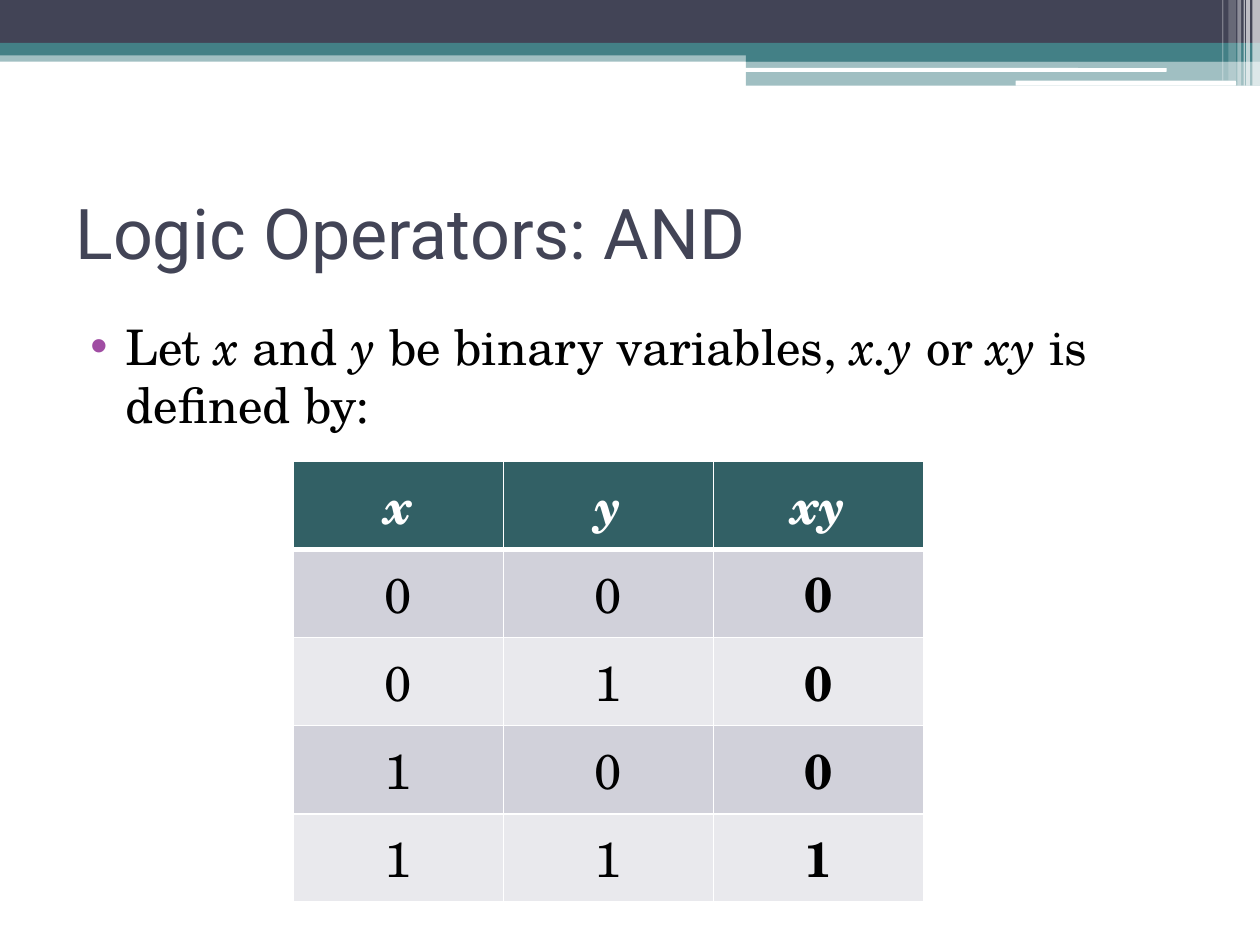
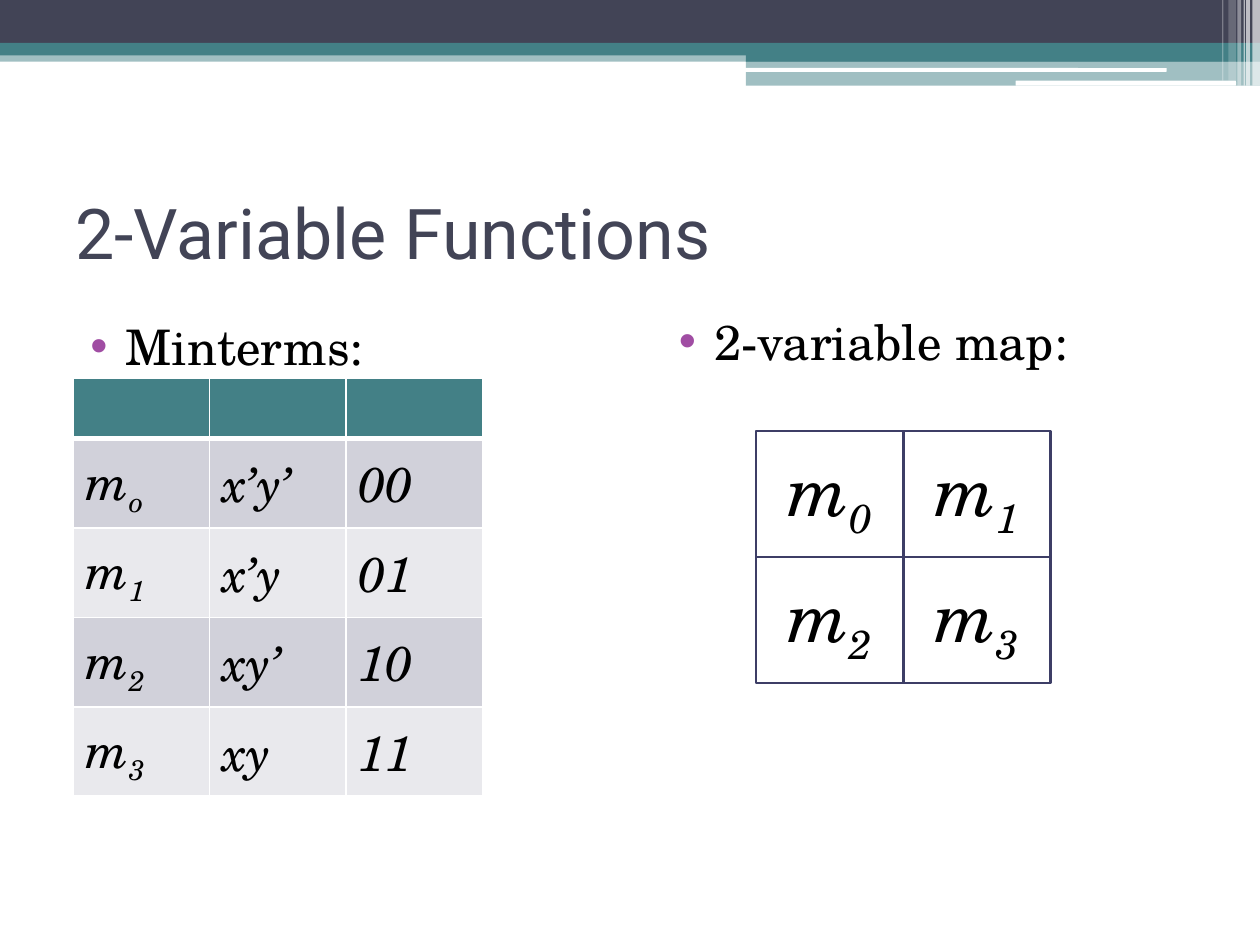
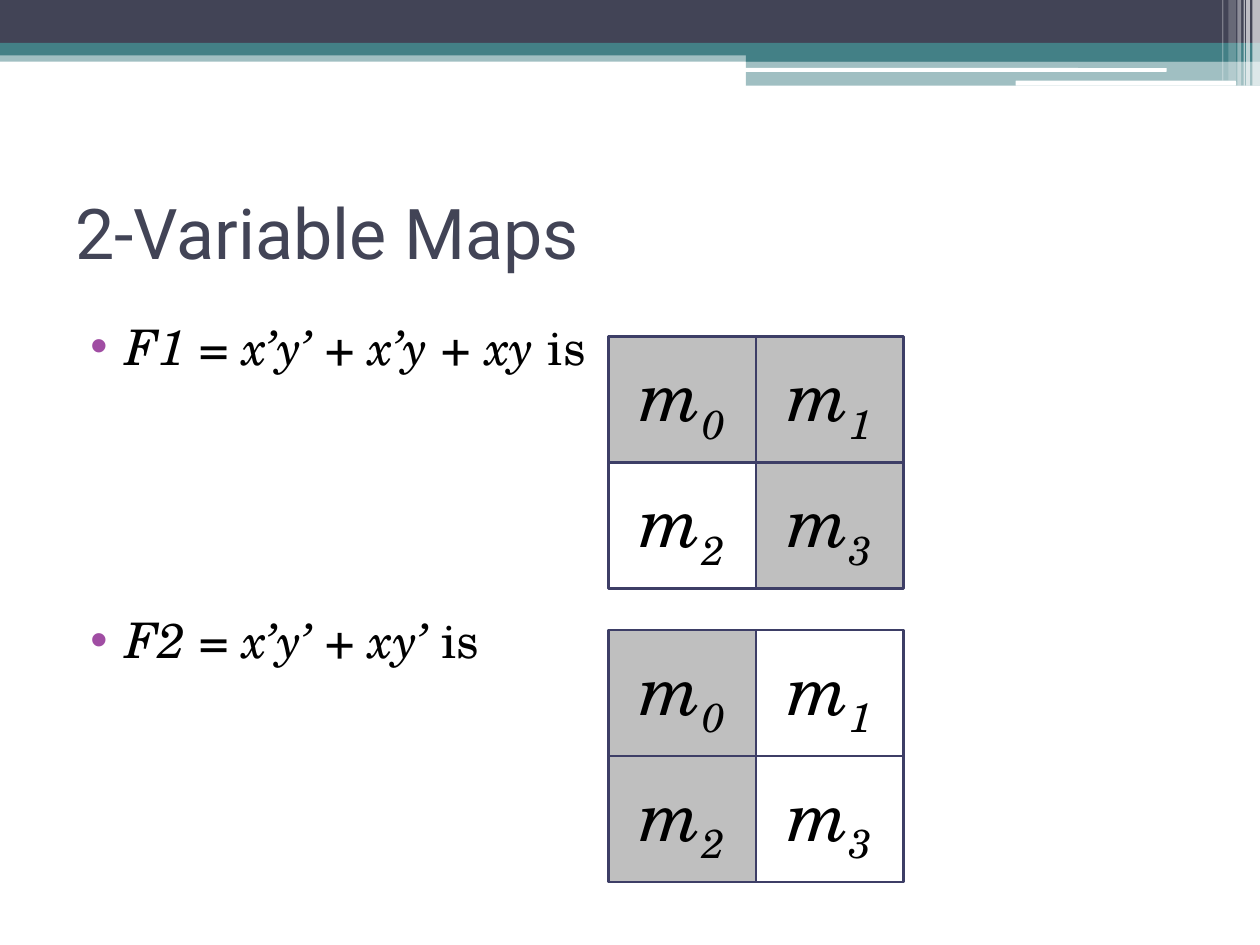
"""Builds three slides on logic operators and two-variable maps."""
from dataclasses import dataclass

import pptx
import pptx.dml.color
import pptx.enum.shapes
import pptx.enum.text
import pptx.oxml
import pptx.oxml.ns
import pptx.util

Inches = pptx.util.Inches
Pt = pptx.util.Pt
SHAPE = pptx.enum.shapes.MSO_SHAPE
ALIGN = pptx.enum.text.PP_ALIGN
ANCHOR = pptx.enum.text.MSO_ANCHOR


@dataclass(frozen=True)
class Theme:
    """Colours, fonts and type sizes shared by all slides."""
    navy: str = "424456"
    teal: str = "438086"
    dark_teal: str = "326065"
    white: str = "FFFFFF"
    black: str = "000000"
    bullet: str = "A04DA3"
    outline: str = "3D3E66"
    shade: str = "BFBFBF"
    row_bands: tuple = ("D1D1DA", "E9E9ED")
    title_font: str = "Roboto"
    body_font: str = "TeX Gyre Schola"
    title_size: int = 40
    body_size: int = 28
    map_size: int = 40


THEME = Theme()
ITALIC = {"italic": True}
SUBSCRIPT = {"italic": True, "baseline": -25}

# left, top, width, height, colour, opacity in percent
BANDS = [
    (0, 0.4, 10, 0.09, THEME.teal, 50),
    (0, 0, 10, 0.34, THEME.navy, 100),
    (0, 0.34, 10, 0.1, THEME.teal, 100),
    (5.92, 0.39, 4.08, 0.1, THEME.teal, 100),
    (5.92, 0.48, 4.08, 0.2, THEME.teal, 50),
]
WHITE_BARS = [(5.91, 0.54, 3.35, 0.03), (8.06, 0.64, 1.75, 0.04)]
# left, width, height, opacity in percent
STRIPES = [
    (9.94, 0.06, 0.68, 65), (9.89, 0.03, 0.68, 65), (9.87, 0.01, 0.68, 60),
    (9.82, 0.03, 0.68, 40), (9.75, 0.06, 0.64, 20), (9.7, 0.01, 0.64, 30),
]


def rgb(colour):
    """Turn a hex string into a colour."""
    return pptx.dml.color.RGBColor.from_string(colour)


def add_xml(parent, tag, **attributes):
    """Append a drawing element with attributes and return it."""
    element = pptx.oxml.parse_xml(f"<a:{tag} {pptx.oxml.ns.nsdecls('a')}/>")
    for name, value in attributes.items():
        element.set(name, str(value))
    parent.append(element)
    return element


def write_text(frame, runs, size=THEME.body_size, font=THEME.body_font,
               colour=THEME.black, bold=False, align=ALIGN.LEFT, bullet=False):
    """Write one paragraph from strings or (string, format) pairs."""
    paragraph = frame.paragraphs[0]
    paragraph.alignment = align
    if bullet:
        paragraph.space_before = Pt(3)
        properties = paragraph._p.get_or_add_pPr()
        properties.set("marL", str(Inches(0.4)))
        properties.set("indent", str(Inches(-0.28)))
        add_xml(add_xml(properties, "buClr"), "srgbClr", val=THEME.bullet)
        add_xml(properties, "buFont", typeface="Arial")
        add_xml(properties, "buChar", char="\u2022")
    for item in runs:
        text, style = (item, {}) if isinstance(item, str) else item
        run = paragraph.add_run()
        run.text = text
        run.font.size = Pt(size)
        run.font.name = font
        run.font.bold = bold
        run.font.italic = style.get("italic", False)
        run.font.color.rgb = rgb(colour)
        if "baseline" in style:
            run.font._element.set("baseline", str(style["baseline"] * 1000))


def add_text(slide, box, runs, anchor=ANCHOR.TOP, **text_format):
    """Add a wrapping text box at box = (left, top, width, height)."""
    frame = slide.shapes.add_textbox(*map(Inches, box)).text_frame
    frame.word_wrap = True
    frame.vertical_anchor = anchor
    write_text(frame, runs, **text_format)


def add_block(slide, box, fill=None, opacity=100, line=None, preset=SHAPE.RECTANGLE):
    """Add a flat shape with optional fill, opacity and outline."""
    shape = slide.shapes.add_shape(preset, *map(Inches, box))
    shape.shadow.inherit = False
    if fill:
        shape.fill.solid()
        shape.fill.fore_color.rgb = rgb(fill)
        if opacity < 100:
            colour = shape.fill._xPr.find(".//" + pptx.oxml.ns.qn("a:srgbClr"))
            add_xml(colour, "alpha", val=opacity * 1000)
    else:
        shape.fill.background()
    if line:
        shape.line.color.rgb = rgb(line)
        shape.line.width = Pt(1.5)
    else:
        shape.line.fill.background()
    return shape


def add_header(slide):
    """Draw the bands, bars and stripes along the top edge."""
    for *box, colour, opacity in BANDS:
        add_block(slide, box, colour, opacity)
    for box in WHITE_BARS:
        add_block(slide, box, THEME.white, preset=SHAPE.ROUNDED_RECTANGLE)
    for left, width, height, opacity in STRIPES:
        add_block(slide, (left, 0, width, height), THEME.white, opacity)


def new_slide(presentation, title):
    """Add a blank slide with the shared header and a title."""
    slide = presentation.slides.add_slide(presentation.slide_layouts[6])
    add_header(slide)
    add_text(slide, (0.5, 1.25, 9, 1.17), [title], anchor=ANCHOR.MIDDLE,
             size=THEME.title_size, font=THEME.title_font, colour=THEME.navy)
    return slide


def style_cell(cell, fill, bottom_width):
    """Fill a cell and give it white borders."""
    cell.vertical_anchor = ANCHOR.MIDDLE
    properties = cell._tc.get_or_add_tcPr()
    for side, width in (("lnL", 1), ("lnR", 1), ("lnT", 1), ("lnB", bottom_width)):
        border = add_xml(properties, side, w=Pt(width))
        add_xml(add_xml(border, "solidFill"), "srgbClr", val=THEME.white)
    cell.fill.solid()
    cell.fill.fore_color.rgb = rgb(fill)


def add_banded_table(slide, box, rows, header_height, header_fill,
                     align=ALIGN.LEFT, bold_last=False):
    """Add a table with a header row and banded rows of runs."""
    left, top, width, height = box
    columns = len(rows[0])
    table = slide.shapes.add_table(len(rows), columns, *map(Inches, box)).table
    for column in table.columns:
        column.width = Inches(width / columns)
    row_height = (height - header_height) / (len(rows) - 1)
    for i, row in enumerate(rows):
        header = i == 0
        table.rows[i].height = Inches(header_height if header else row_height)
        for j, runs in enumerate(row):
            cell = table.cell(i, j)
            fill = header_fill if header else THEME.row_bands[(i - 1) % 2]
            style_cell(cell, fill, 3 if header else 1)
            write_text(cell.text_frame, runs, align=align,
                       colour=THEME.white if header else THEME.black,
                       bold=header or (bold_last and j == columns - 1))


def minterm(index):
    """Return the runs of a minterm symbol with its subscript."""
    return [("m", ITALIC), (str(index), SUBSCRIPT)]


def add_map(slide, box, shaded=()):
    """Draw a two by two map and shade the chosen minterms."""
    left, top, width, height = box
    cell_width, cell_height = width / 2, height / 2
    for index in range(4):
        row, column = divmod(index, 2)
        cell_box = (left + column * cell_width, top + row * cell_height,
                    cell_width, cell_height)
        shape = add_block(slide, cell_box, line=THEME.outline,
                          fill=THEME.shade if index in shaded else None)
        shape.text_frame.vertical_anchor = ANCHOR.MIDDLE
        write_text(shape.text_frame, minterm(index), size=THEME.map_size,
                   align=ALIGN.CENTER)


def build_and_slide(presentation):
    """Build the slide with the truth table of AND."""
    slide = new_slide(presentation, "Logic Operators: AND")
    add_text(slide, (0.5, 2.46, 9, 4.73), [
        "Let ", ("x", ITALIC), " and ", ("y", ITALIC), " be binary variables, ",
        ("x.y", ITALIC), " or ", ("xy", ITALIC), " is defined by:"], bullet=True)
    rows = [[[(name, ITALIC)] for name in ("x", "y", "xy")]]
    rows += [[[str(value)] for value in (x, y, x & y)]
             for x in (0, 1) for y in (0, 1)]
    add_banded_table(slide, (2.33, 3.66, 5, 3.5), rows, 0.7, THEME.dark_teal,
                     align=ALIGN.CENTER, bold_last=True)


def build_functions_slide(presentation):
    """Build the slide with the minterm table and its map."""
    slide = new_slide(presentation, "2-Variable Functions")
    add_text(slide, (0.5, 2.46, 4.33, 1.21), ["Minterms:"], bullet=True)
    minterms = [("o", "x’y’", "00"), ("1", "x’y", "01"),
                ("2", "xy’", "10"), ("3", "xy", "11")]
    rows = [[[], [], []]]
    rows += [[minterm(index), [(product, ITALIC)], [(bits, ITALIC)]]
             for index, product, bits in minterms]
    add_banded_table(slide, (0.58, 3, 3.25, 3.32), rows, 0.48, THEME.teal)
    add_text(slide, (5.17, 2.42, 4.33, 1.21), ["2-variable map:"], bullet=True)
    add_map(slide, (6, 3.42, 2.34, 2))


def build_maps_slide(presentation):
    """Build the slide with two functions and their shaded maps."""
    slide = new_slide(presentation, "2-Variable Maps")
    functions = [("F1 = x’y’ + x’y + xy ", (0, 1, 3)), ("F2 = x’y’ + xy’ ", (0, 2))]
    for i, (formula, shaded) in enumerate(functions):
        offset = i * 2.33
        add_text(slide, (0.5, 2.46 + offset, 9, 0.71), [(formula, ITALIC), "is"],
                 bullet=True)
        add_map(slide, (4.83, 2.67 + offset, 2.34, 2), shaded)


def main():
    """Build and save the presentation."""
    presentation = pptx.Presentation()
    presentation.slide_width = Inches(10)
    presentation.slide_height = Inches(7.5)
    build_and_slide(presentation)
    build_functions_slide(presentation)
    build_maps_slide(presentation)
    presentation.save("out.pptx")


main()
